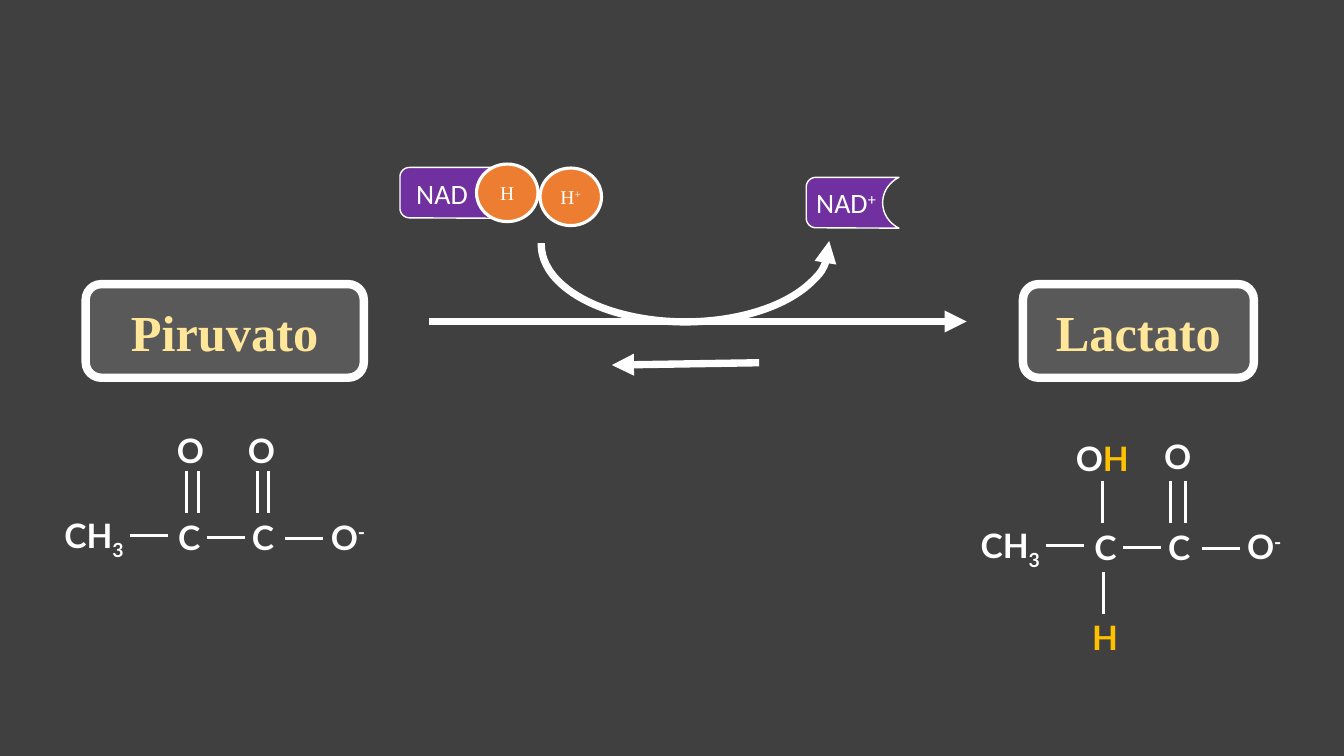
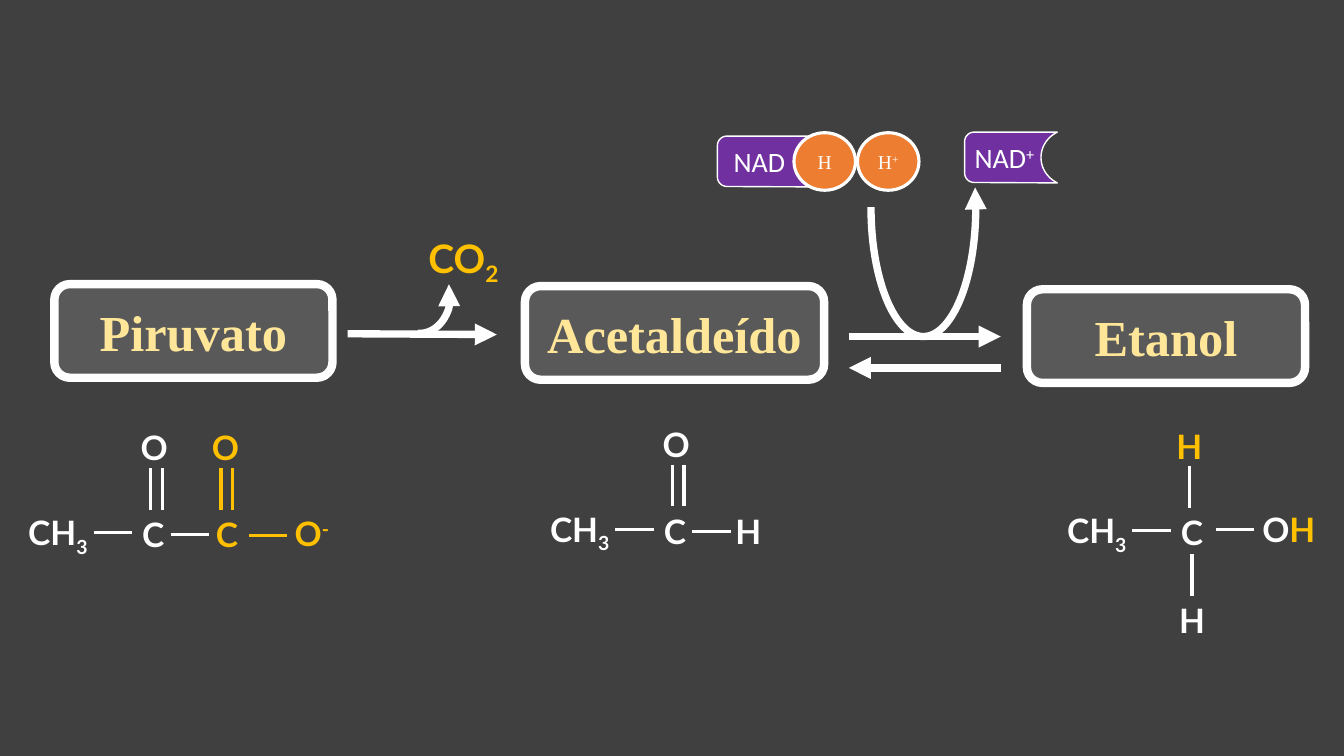
import math

from lxml import etree
from pptx import Presentation
from pptx import util as u
from pptx.dml.color import RGBColor
from pptx.enum import shapes, text
from pptx.oxml import ns

BACKGROUND = RGBColor(0x40, 0x40, 0x40)
PANEL = RGBColor(0x59, 0x59, 0x59)
CREAM = RGBColor(0xFF, 0xE6, 0x99)
WHITE = RGBColor(0xFF, 0xFF, 0xFF)
GOLD = RGBColor(0xFF, 0xC0, 0x00)
PURPLE = RGBColor(0x70, 0x30, 0xA0)
ORANGE = RGBColor(0xED, 0x7D, 0x31)

SUBSCRIPT, SUPERSCRIPT = -25000, 30000
BOND_LENGTH, BOND_HEIGHT = 0.96, 1.05
ARROW_WIDTH, BOND_WIDTH = 5.25, 2.25
NAD_HEIGHT, NAD_CORNER = 1.27, 0.24
NOTCH_X, NOTCH_Y = 2.7, 0.64
PROTON_WIDTH, PROTON_HEIGHT = 1.55, 1.45
ATOM_WIDTHS = {"C": 1.3, "O": 1.32, "H": 1.3, "CH3": 2.2, "O-": 1.5, "OH": 2.0, "CO2": 2.64}


def add_runs(shape, pieces, font, size, color, bold=False, align=text.PP_ALIGN.CENTER):
    """Fill a shape with one paragraph of (text, baseline, colour) pieces."""
    frame = shape.text_frame
    frame.word_wrap = True
    paragraph = frame.paragraphs[0]
    paragraph.alignment = align
    for words, baseline, own_color in pieces:
        run = paragraph.add_run()
        run.text = words
        run.font.name = font
        run.font.size = u.Pt(size)
        run.font.bold = bold
        run.font.color.rgb = own_color or color
        if baseline:
            run._r.get_or_add_rPr().set("baseline", str(baseline))


def paint(shape, fill, line_width):
    """Give a shape a flat fill, a white outline and middle-anchored text."""
    shape.shadow.inherit = False
    shape.fill.solid()
    shape.fill.fore_color.rgb = fill
    shape.line.color.rgb = WHITE
    shape.line.width = u.Pt(line_width)
    shape.text_frame.vertical_anchor = text.MSO_ANCHOR.MIDDLE


def add_arrowhead(shape, end):
    """Put a triangle on the headEnd or tailEnd of a line."""
    etree.SubElement(shape.line._get_or_add_ln(), ns.qn("a:" + end), type="triangle")


def add_line(slide, start, end, color=WHITE, width=BOND_WIDTH):
    """Draw a straight line between two points."""
    points = [u.Cm(value) for value in (*start, *end)]
    line = slide.shapes.add_connector(shapes.MSO_CONNECTOR.STRAIGHT, *points)
    line.line.color.rgb = color
    line.line.width = u.Pt(width)
    etree.SubElement(line._element.spPr, ns.qn("a:effectLst"))
    return line


def add_arrow(slide, start, end):
    """Draw a straight reaction arrow."""
    add_arrowhead(add_line(slide, start, end, width=ARROW_WIDTH), "tailEnd")


def add_curved_arrow(slide, left, top, width, height, start, end):
    """Draw the lower arc of a box, with its arrowhead on the right."""
    arc = slide.shapes.add_shape(shapes.MSO_SHAPE.ARC, u.Cm(left), u.Cm(top), u.Cm(width), u.Cm(height))
    arc.rotation = 180
    arc.adjustments[0], arc.adjustments[1] = start, end
    arc.shadow.inherit = False
    arc.fill.background()
    arc.line.color.rgb = WHITE
    arc.line.width = u.Pt(ARROW_WIDTH)
    add_arrowhead(arc, "headEnd")


def add_compound(slide, name, left, top, width):
    """Place the framed name of a compound."""
    box = slide.shapes.add_shape(
        shapes.MSO_SHAPE.ROUNDED_RECTANGLE, u.Cm(left), u.Cm(top), u.Cm(width), u.Cm(2.36))
    paint(box, PANEL, 6)
    add_runs(box, [(name, 0, None)], "Times New Roman", 36, CREAM, bold=True)


def add_atom(slide, formula, center, top, color=WHITE, size=24, hydrogen=None):
    """Write a formula centred on a point, with its index raised or lowered."""
    width = ATOM_WIDTHS[formula]
    box = slide.shapes.add_textbox(
        u.Cm(center - width / 2), u.Cm(top), u.Cm(width), u.Cm(1.27 * size / 24))
    box.text_frame.auto_size = text.MSO_AUTO_SIZE.SHAPE_TO_FIT_TEXT
    baselines = {"-": SUPERSCRIPT, "2": SUBSCRIPT, "3": SUBSCRIPT}
    pieces = [(letter, baselines.get(letter, 0), hydrogen if letter == "H" else None)
              for letter in formula]
    add_runs(box, pieces, "Lato", size, color, bold=True)


def add_bond(slide, left, top, color=WHITE):
    """Draw a horizontal bond from its left end."""
    add_line(slide, (left, top), (left + BOND_LENGTH, top), color)


def add_upright_bonds(slide, centers, top, color=WHITE):
    """Draw one vertical bond for each centre."""
    for center in centers:
        add_line(slide, (center, top), (center, top + BOND_HEIGHT), color)


def add_methyl_carbon(slide, left, top):
    """Draw the methyl group joined to the carbon that all molecules have."""
    add_atom(slide, "CH3", left + 1.1, top)
    add_bond(slide, left + 2, top + 0.64)
    add_atom(slide, "C", left + 3.5, top + 0.05)


def add_carbonyl(slide, left, top):
    """Draw the double-bonded oxygen over the shared carbon."""
    add_atom(slide, "O", left + 3.53, top - 2.15)
    add_upright_bonds(slide, (left + 3.43, left + 3.73), top - 0.99)


def add_carboxyl(slide, left, top, color=WHITE, rise=0.0, spread=0.28, middle=5.35):
    """Draw the carboxyl group and the bond that leads to it."""
    add_bond(slide, left + 3.94, top + 0.69)
    add_atom(slide, "C", left + 5.36, top + 0.05, color)
    add_atom(slide, "O", left + 5.32, top - 2.15 - rise, color)
    centers = [left + middle + side * spread / 2 for side in (-1, 1)]
    add_upright_bonds(slide, centers, top - 0.99, color)
    add_bond(slide, left + 5.92, top + 0.71, color)
    add_atom(slide, "O-", left + 7.5, top + 0.03, color)


def add_pyruvate(slide, left, top, carboxyl_color=WHITE):
    """Draw the pyruvate molecule."""
    add_methyl_carbon(slide, left, top)
    add_carbonyl(slide, left, top)
    add_carboxyl(slide, left, top, carboxyl_color)


def add_lactate(slide, left, top):
    """Draw the lactate molecule."""
    add_methyl_carbon(slide, left, top)
    add_atom(slide, "OH", left + 3.42, top - 2.21, hydrogen=GOLD)
    add_upright_bonds(slide, [left + 3.43], top - 0.99)
    add_carboxyl(slide, left, top, rise=0.11, spread=0.38, middle=5.32)
    add_upright_bonds(slide, [left + 3.45], top + 1.3)
    add_atom(slide, "H", left + 3.49, top + 2.31, GOLD)


def add_acetaldehyde(slide, left, top):
    """Draw the acetaldehyde molecule."""
    add_methyl_carbon(slide, left, top)
    add_carbonyl(slide, left, top)
    add_bond(slide, left + 3.94, top + 0.69)
    add_atom(slide, "H", left + 5.35, top + 0.06)


def add_ethanol(slide, left, top):
    """Draw the ethanol molecule."""
    add_methyl_carbon(slide, left, top)
    add_atom(slide, "H", left + 3.43, top - 2.13, GOLD)
    add_upright_bonds(slide, [left + 3.43], top - 0.99)
    add_bond(slide, left + 4.11, top + 0.61)
    add_atom(slide, "OH", left + 5.94, top - 0.03, hydrogen=GOLD)
    add_upright_bonds(slide, [left + 3.5], top + 1.24)
    add_atom(slide, "H", left + 3.5, top + 2.26)


def ellipse_points(center_x, center_y, radius_x, radius_y, start, end, steps):
    """List points along an ellipse between two angles in degrees."""
    angles = [math.radians(start + (end - start) * step / steps) for step in range(steps + 1)]
    return [(center_x + radius_x * math.cos(angle), center_y + radius_y * math.sin(angle))
            for angle in angles]


def add_nad(slide, left, top, pieces, indent=0.25):
    """Draw the NAD body, rounded on the left and notched on the right."""
    radius = PROTON_HEIGHT / 2
    reach = math.degrees(math.asin(NOTCH_Y / radius))
    low = NAD_HEIGHT - NAD_CORNER
    outline = ellipse_points(
        NOTCH_X, NOTCH_Y, PROTON_WIDTH / 2, radius, 180 + reach, 180 - reach, 24)
    outline += ellipse_points(NAD_CORNER, low, NAD_CORNER, NAD_CORNER, 90, 180, 8)
    outline += ellipse_points(NAD_CORNER, NAD_CORNER, NAD_CORNER, NAD_CORNER, 180, 270, 8)
    points = [(u.Cm(left + x), u.Cm(top + y)) for x, y in outline]
    builder = slide.shapes.build_freeform(*points[0])
    builder.add_line_segments(points[1:], close=True)
    body = builder.convert_to_shape()
    paint(body, PURPLE, 1)
    body.text_frame.margin_left = u.Cm(indent)
    add_runs(body, pieces, "Calibri", 20, WHITE, align=text.PP_ALIGN.LEFT)


def add_proton(slide, left, top, pieces):
    """Draw a hydrogen circle."""
    circle = slide.shapes.add_shape(
        shapes.MSO_SHAPE.OVAL, u.Cm(left), u.Cm(top), u.Cm(PROTON_WIDTH), u.Cm(PROTON_HEIGHT))
    paint(circle, ORANGE, 2.25)
    add_runs(circle, pieces, "Times New Roman", 14, WHITE)


def add_nadh(slide, left, top, proton_drop=0.0):
    """Draw NAD with its hydrogen and the free proton beside it."""
    proton_top = top + NOTCH_Y - PROTON_HEIGHT / 2
    add_nad(slide, left, top, [("NAD", 0, None)], indent=0.41)
    add_proton(slide, left + 1.93, proton_top, [("H", 0, None)])
    add_proton(slide, left + 3.53, proton_top + proton_drop,
               [("H", 0, None), ("+", SUPERSCRIPT, None)])


def add_nad_plus(slide, left, top):
    """Draw the oxidised NAD."""
    add_nad(slide, left, top, [("NAD", 0, None), ("+", SUPERSCRIPT, None)])


def build_lactate_slide(slide):
    """Show pyruvate turning into lactate."""
    add_compound(slide, "Piruvato", 2.16, 7.16, 7.01)
    add_compound(slide, "Lactato", 25.78, 7.16, 5.82)
    add_lactate(slide, 24.36, 13.11)
    add_pyruvate(slide, 1.27, 12.86)
    add_arrow(slide, (10.8, 8.1), (24.36, 8.1))
    add_nadh(slide, 10.08, 4.22, proton_drop=0.1)
    add_curved_arrow(slide, 13.64, 4.22, 7.26, 3.89, 107.12, 0.37)
    add_nad_plus(slide, 20.32, 4.47)
    add_arrow(slide, (19.13, 9.14), (15.42, 9.2))


def build_ethanol_slide(slide):
    """Show pyruvate turning into acetaldehyde and then ethanol."""
    add_compound(slide, "Piruvato", 1.37, 7.16, 7.01)
    add_compound(slide, "Acetaldeído", 13.23, 7.21, 7.54)
    add_compound(slide, "Etanol", 25.88, 7.29, 7.01)
    add_pyruvate(slide, 0.36, 12.78, GOLD)
    add_acetaldehyde(slide, 13.51, 12.7)
    add_ethanol(slide, 26.54, 12.73)
    add_arrow(slide, (8.76, 8.41), (12.52, 8.43))
    add_curved_arrow(slide, 9.8, 6.5, 1.55, 1.9, 95.23, 163.66)
    add_atom(slide, "CO2", 11.68, 5.77, GOLD, size=28)
    add_arrow(slide, (21.39, 8.48), (25.22, 8.48))
    add_nadh(slide, 18.08, 3.43)
    add_curved_arrow(slide, 21.95, 1.98, 2.64, 6.5, 95.23, 0.37)
    add_nad_plus(slide, 24.31, 3.33)
    add_arrow(slide, (25.22, 9.27), (21.39, 9.27))


def main():
    """Build both slides and save them."""
    presentation = Presentation()
    presentation.slide_width = u.Cm(33.87)
    presentation.slide_height = u.Cm(19.05)
    background = presentation.slide_master.background.fill
    background.solid()
    background.fore_color.rgb = BACKGROUND
    for build in (build_lactate_slide, build_ethanol_slide):
        build(presentation.slides.add_slide(presentation.slide_layouts[6]))
    presentation.save("out.pptx")


if __name__ == "__main__":
    main()
